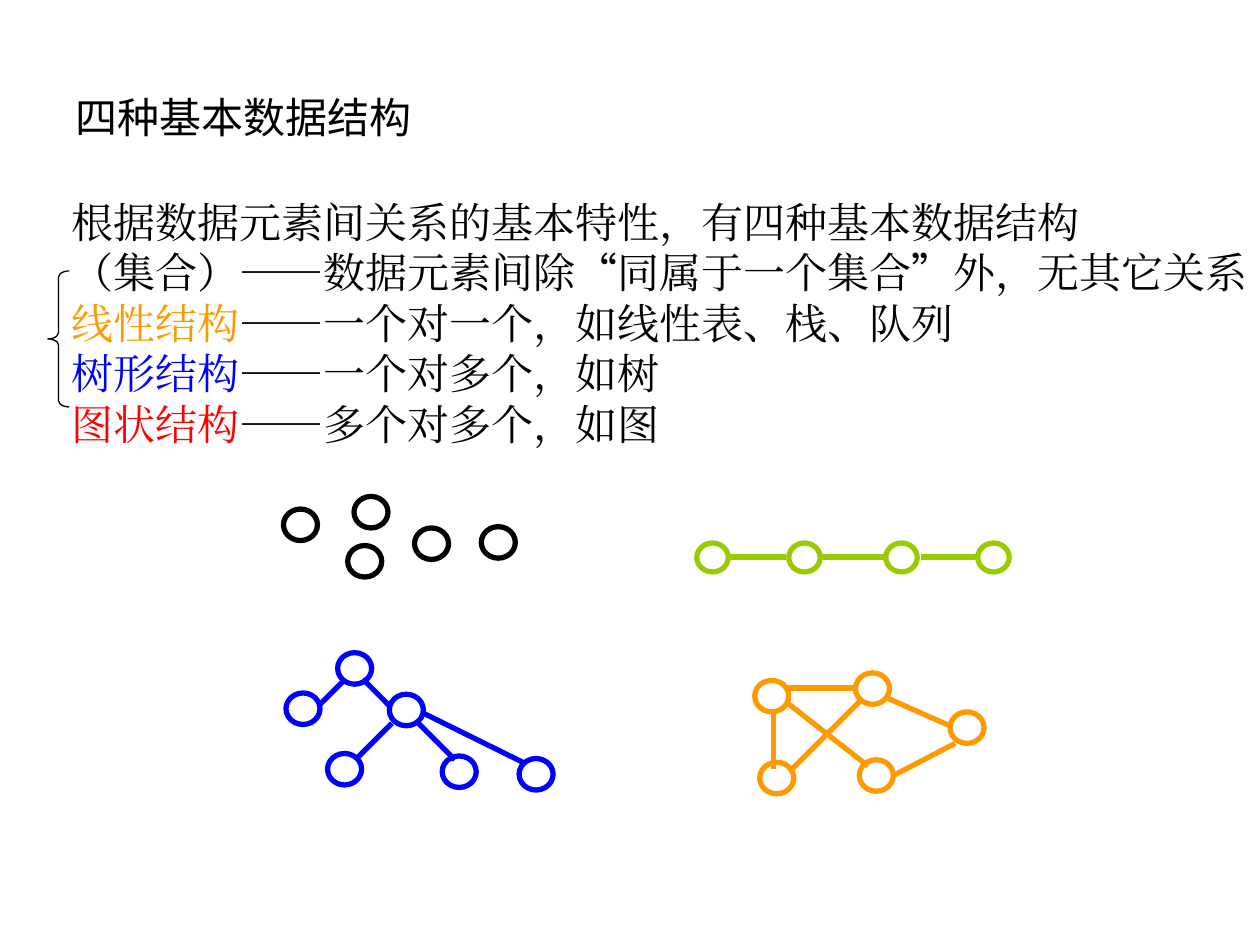
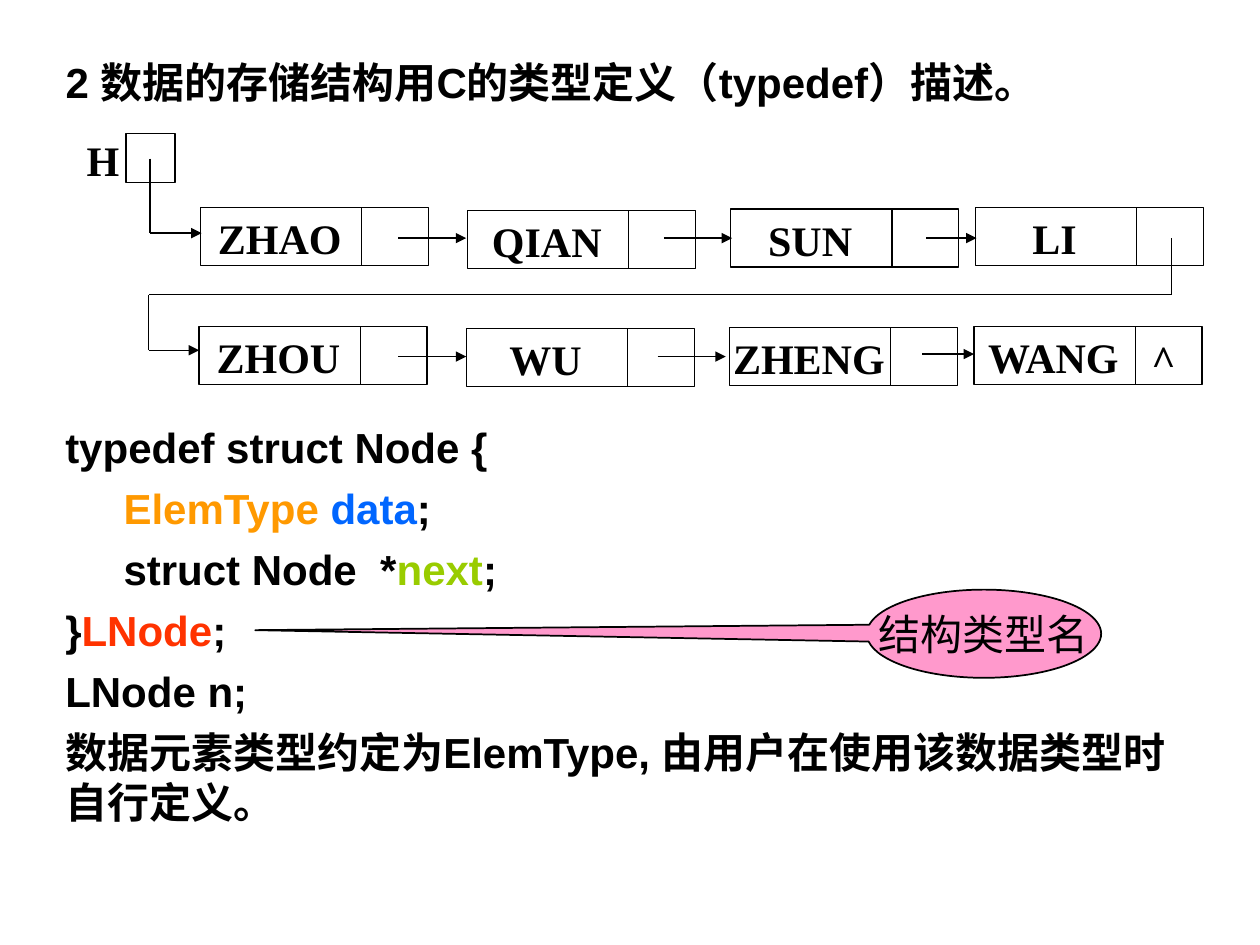
from lxml import etree
from pptx import Presentation
from pptx.dml.color import RGBColor
from pptx.enum.shapes import MSO_CONNECTOR, MSO_SHAPE
from pptx.enum.text import MSO_ANCHOR, MSO_AUTO_SIZE, PP_ALIGN
from pptx.oxml.ns import qn
from pptx.util import Inches, Pt

LEFT, CENTER = PP_ALIGN.LEFT, PP_ALIGN.CENTER
TOP, MIDDLE = MSO_ANCHOR.TOP, MSO_ANCHOR.MIDDLE
NO_AUTOFIT = MSO_AUTO_SIZE.NONE
STRAIGHT = MSO_CONNECTOR.STRAIGHT
OVAL, RECTANGLE = MSO_SHAPE.OVAL, MSO_SHAPE.RECTANGLE
LEFT_BRACE, CALLOUT = MSO_SHAPE.LEFT_BRACE, MSO_SHAPE.OVAL_CALLOUT

BLACK = RGBColor(0x00, 0x00, 0x00)
ORANGE = RGBColor(0xFF, 0x99, 0x00)
BLUE = RGBColor(0x00, 0x00, 0xFF)
RED = RGBColor(0xFF, 0x00, 0x00)
GREEN = RGBColor(0x99, 0xCC, 0x00)
SKY = RGBColor(0x00, 0x66, 0xFF)
VERMILION = RGBColor(0xFF, 0x33, 0x00)
PINK = RGBColor(0xFF, 0x99, 0xCC)

SANS, SERIF, CJK = "Arial", "Times New Roman", "Noto Sans CJK SC"
TEXT_SIZE, LINE_HEIGHT, PARAGRAPH_GAP = Pt(24), Pt(28.8), Pt(6)
THIN, THICK = 0.75, 3
INSETS = (0.1, 0.05, 0.1, 0.05)
TITLE_ONLY = 5


def add_run(paragraph, text, font_name, color=BLACK, bold=False):
    run = paragraph.add_run()
    run.text = text
    run.font.name = font_name
    run.font.size = TEXT_SIZE
    run.font.bold = bold
    run.font.color.rgb = color
    properties = run.font._element
    etree.SubElement(properties, qn("a:ea")).set("typeface", font_name)


def write_text(shape, paragraphs, align=LEFT, anchor=TOP, wrap=False,
               insets=INSETS, gap=Pt(0)):
    frame = shape.text_frame
    frame.auto_size = NO_AUTOFIT
    frame.word_wrap = wrap
    frame.vertical_anchor = anchor
    (frame.margin_left, frame.margin_top,
     frame.margin_right, frame.margin_bottom) = map(Inches, insets)
    for index, runs in enumerate(paragraphs):
        paragraph = frame.add_paragraph() if index else frame.paragraphs[0]
        paragraph.alignment = align
        paragraph.line_spacing = LINE_HEIGHT
        paragraph.space_before = gap if index else Pt(0)
        for run in runs:
            add_run(paragraph, *run)


def add_text(slide, box, paragraphs, **layout):
    shape = slide.shapes.add_textbox(*map(Inches, box))
    write_text(shape, paragraphs, **layout)


def add_outline(slide, kind, box, color=BLACK, weight=THIN, fill=None):
    shape = slide.shapes.add_shape(kind, *map(Inches, box))
    shape.shadow.inherit = False
    shape.line.color.rgb = color
    shape.line.width = Pt(weight)
    if fill is None:
        shape.fill.background()
    else:
        shape.fill.solid()
        shape.fill.fore_color.rgb = fill
    return shape


def add_line(slide, start, end, color=BLACK, weight=THIN, arrow=False):
    line = slide.shapes.add_connector(STRAIGHT, *map(Inches, (*start, *end)))
    line.line.color.rgb = color
    line.line.width = Pt(weight)
    etree.SubElement(line._element.spPr, qn("a:effectLst"))
    if arrow:
        outline = line.line._get_or_add_ln()
        etree.SubElement(outline, qn("a:tailEnd")).set("type", "triangle")


def add_titled_slide(presentation, box, text, anchor, bold=False):
    slide = presentation.slides.add_slide(presentation.slide_layouts[TITLE_ONLY])
    title = slide.shapes.title
    title.left, title.top, title.width, title.height = map(Inches, box)
    write_text(title, [[(text, SANS, BLACK, bold)]], anchor=anchor, wrap=True)
    return slide


def add_structure_list(slide, left, top):
    def entry(name, color, *explanation):
        return [(name, SERIF, color), ("——", CJK), *explanation]

    paragraphs = [
        [("根据数据元素间关系的基本特性，有四种基本数据结构", SERIF)],
        entry("（集合）", BLACK, ("数据元素间除", SERIF), ("“", CJK),
              ("同属于一个集合", SERIF), ("”", CJK), ("外，无其它关系", SERIF)),
        entry("线性结构", ORANGE, ("一个对一个，如线性表、栈、队列", SERIF)),
        entry("树形结构", BLUE, ("一个对多个，如树", SERIF)),
        entry("图状结构", RED, ("多个对多个，如图", SERIF)),
    ]
    add_text(slide, (left + 0.09, top, 9.53, 2.1), paragraphs)
    brace = add_outline(slide, LEFT_BRACE, (left, top + 0.64, 0.17, 1.08))
    brace.adjustments[0] = 0.29


def add_node_diagram(slide, left, top, color, nodes, edges=(), node_size=(0.27, 0.25)):
    for x, y in nodes:
        add_outline(slide, OVAL, (left + x, top + y, *node_size), color, THICK)
    for x1, y1, x2, y2 in edges:
        add_line(slide, (left + x1, top + y1), (left + x2, top + y2), color, THICK)


def build_structures_slide(presentation):
    slide = add_titled_slide(presentation, (0.5, 0.3, 9, 1.25),
                             "四种基本数据结构", MIDDLE)
    add_structure_list(slide, 0.38, 1.51)
    add_node_diagram(
        slide, 2.25, 3.94, BLACK,
        [(0, 0.1), (0.56, 0), (0.51, 0.39), (1.04, 0.25), (1.57, 0.24)])
    add_node_diagram(
        slide, 5.53, 4.31, GREEN,
        [(x, 0) for x in (0, 0.73, 1.5, 2.23)],
        [(start, 0.11, end, 0.11)
         for start, end in ((0.25, 0.71), (0.97, 1.51), (1.78, 2.22))],
        (0.25, 0.23))
    add_node_diagram(
        slide, 2.27, 5.18, BLUE,
        [(0.41, 0), (0, 0.32), (0.82, 0.33), (0.33, 0.8), (1.24, 0.82), (1.85, 0.84)],
        [(0.45, 0.23, 0.26, 0.42), (0.84, 0.56, 0.55, 0.85), (0.61, 0.21, 0.82, 0.42),
         (1.03, 0.54, 1.34, 0.85), (1.09, 0.48, 1.9, 0.88)])
    add_node_diagram(
        slide, 5.99, 5.34, ORANGE,
        [(0.8, 0), (0.04, 0.71), (0.83, 0.69), (1.55, 0.31), (0, 0.06)],
        [(0.15, 0.33, 0.15, 0.76), (0.26, 0.24, 0.9, 0.74), (1.05, 0.2, 1.57, 0.43),
         (0.84, 0.22, 0.28, 0.78), (1.59, 0.56, 1.11, 0.81), (0.26, 0.12, 0.8, 0.12)])


def add_record(slide, left, top, name):
    record = add_outline(slide, RECTANGLE, (left, top, 1.81, 0.46))
    write_text(record, [[(name, SERIF, BLACK, True)]], align=CENTER, anchor=MIDDLE,
               wrap=True, insets=(0, 0.02, 0.55, 0))
    add_line(slide, (left + 1.28, top), (left + 1.28, top + 0.46))


def add_linked_list(slide, left, top):
    columns = ((0, 0), (2.12, 0.02), (4.21, 0.01), (6.15, 0))
    rows = (
        (0.59, 0.65, ("ZHAO", "QIAN", "SUN", "LI")),
        (0.58, 1.59, ("ZHOU", "WU", "ZHENG", "WANG")),
    )
    links = (
        ((0.19, 0.26), (0.19, 0.85), (0.6, 0.85)),
        ((2.16, 0.89), (2.7, 0.89)),
        ((4.27, 0.89), (4.81, 0.89)),
        ((6.35, 0.89), (6.75, 0.89)),
        ((8.3, 0.89), (8.3, 1.34), (0.18, 1.34), (0.18, 1.78), (0.58, 1.78)),
        ((2.16, 1.83), (2.7, 1.83)),
        ((4.22, 1.83), (4.76, 1.83)),
        ((6.32, 1.81), (6.73, 1.81)),
    )
    add_outline(slide, RECTANGLE, (left, top + 0.06, 0.39, 0.39))
    add_text(slide, (left - 0.41, top + 0.02, 0.43, 0.5),
             [[("H", SERIF, BLACK, True)]], anchor=MIDDLE)
    for row_left, row_top, names in rows:
        for (x, y), name in zip(columns, names):
            add_record(slide, left + row_left + x, top + row_top + y, name)
    for link in links:
        points = [(left + x, top + y) for x, y in link]
        for start, end in zip(points, points[1:]):
            add_line(slide, start, end, arrow=end == points[-1])
    add_text(slide, (left + 8.04, top + 1.6, 0.39, 0.5),
             [[("^", SERIF, BLACK, True)]], align=CENTER, anchor=MIDDLE)


def add_type_definition(slide, left, top):
    code = [
        [("typedef struct Node {", BLACK)],
        [("     ", BLACK), ("ElemType ", ORANGE), ("data", SKY), (";", BLACK)],
        [("     struct Node  *", BLACK), ("next", GREEN), (";", BLACK)],
        [("}", BLACK), ("LNode", VERMILION), (";", BLACK)],
        [("LNode n;", BLACK)],
        [("数据元素类型约定为ElemType, 由用户在使用该数据类型时自行定义。", BLACK)],
    ]
    paragraphs = [[(text, SANS, color, True) for text, color in line] for line in code]
    add_text(slide, (left, top, 9, 3.9), paragraphs, wrap=True, gap=PARAGRAPH_GAP)
    callout = add_outline(slide, CALLOUT, (left + 6.46, top + 1.38, 1.86, 0.7),
                          weight=1, fill=PINK)
    callout.adjustments[0] = -3.11
    callout.adjustments[1] = -0.04
    write_text(callout, [[("结构类型名", CJK)]], align=CENTER, anchor=MIDDLE)


def build_storage_slide(presentation):
    slide = add_titled_slide(presentation, (0.42, 0.4, 9, 0.55),
                             "2 数据的存储结构用C的类型定义（typedef）描述。", TOP, True)
    add_linked_list(slide, 1, 1)
    add_type_definition(slide, 0.42, 3.3)


def main():
    presentation = Presentation()
    presentation.slide_width = Inches(10)
    presentation.slide_height = Inches(7.5)
    build_structures_slide(presentation)
    build_storage_slide(presentation)
    presentation.save("out.pptx")


if __name__ == "__main__":
    main()
